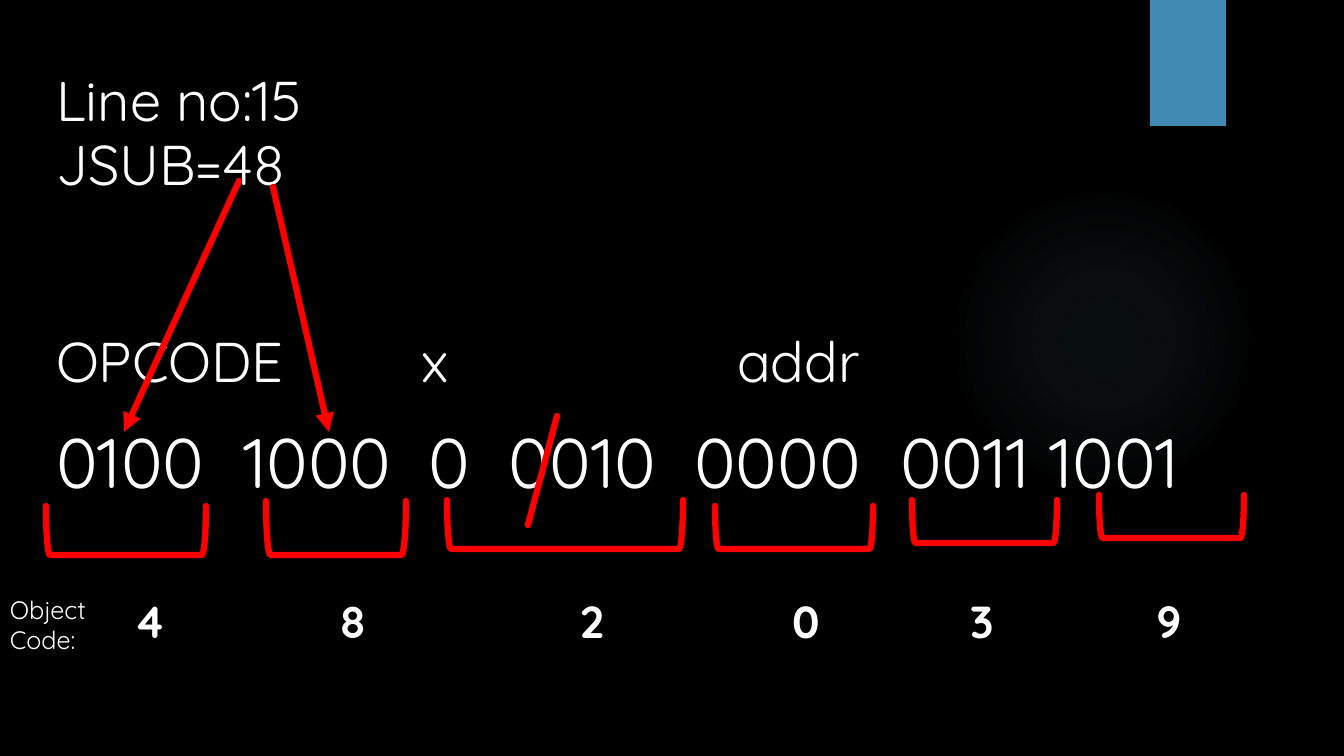
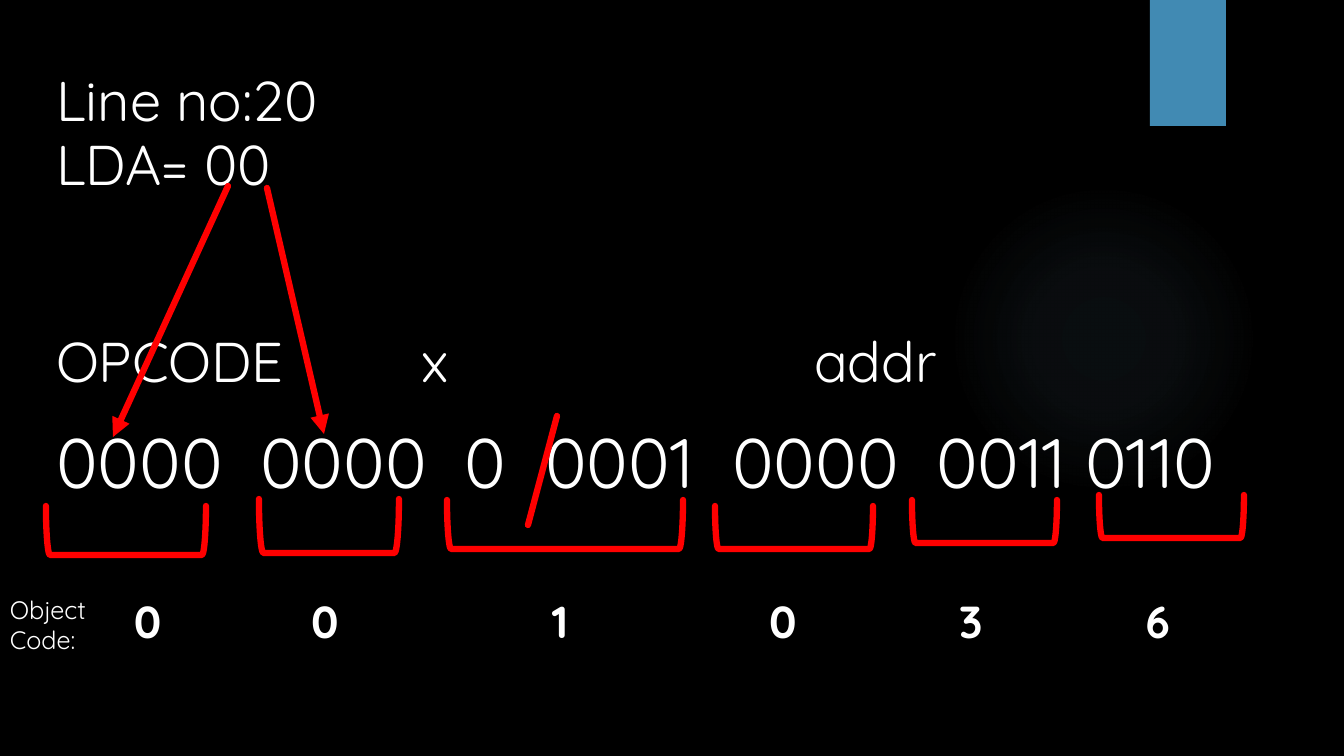
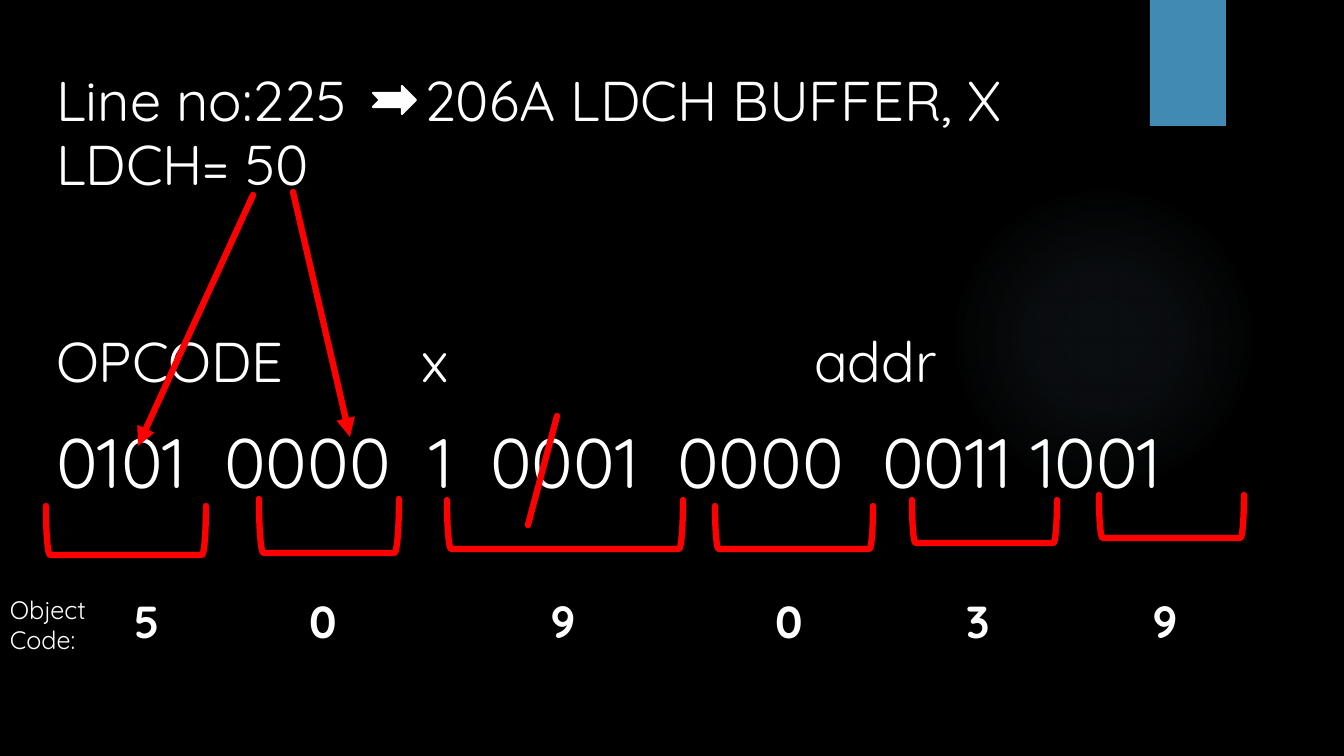
from dataclasses import dataclass

from lxml import etree
from pptx import Presentation
from pptx.dml.color import RGBColor
from pptx.enum.shapes import MSO_CONNECTOR, MSO_SHAPE
from pptx.enum.text import MSO_ANCHOR, MSO_AUTO_SIZE, PP_ALIGN
from pptx.oxml import parse_xml
from pptx.oxml.ns import nsdecls, qn
from pptx.util import Emu, Pt

STRAIGHT = MSO_CONNECTOR.STRAIGHT
OVAL, RECTANGLE = MSO_SHAPE.OVAL, MSO_SHAPE.RECTANGLE
BRACKET, NOTCHED_ARROW = MSO_SHAPE.LEFT_BRACKET, MSO_SHAPE.NOTCHED_RIGHT_ARROW
TOP, MIDDLE = MSO_ANCHOR.TOP, MSO_ANCHOR.MIDDLE
LEFT = PP_ALIGN.LEFT
FIXED_SIZE = MSO_AUTO_SIZE.NONE

COLORS = {"background": "000000", "text": "FFFFFF", "mark": "FF0000",
          "band": "418AB3", "glow": "8ABAD4"}
FONT = "Quicksand"
TITLE_LAYOUT = 5
EMU_PER_PX = 914400 / 100.8
MARK_WIDTH = 4.5

Point = tuple[int, int]


@dataclass(frozen=True)
class Box:
    x: int
    y: int
    w: int
    h: int


@dataclass(frozen=True)
class Row:
    """One line of text; its cells are set apart by tab stops."""
    cells: tuple[str, ...]
    tabs: tuple[int, ...] = ()
    size: int = 40
    before: int = 0
    spacing: float = 1.0
    bold: bool = False
    tab_align: str = "l"


@dataclass(frozen=True)
class Instruction:
    line: Row
    mnemonic: str
    addr_tab: int
    bits: tuple[str, ...]
    bit_tabs: tuple[int, ...]
    code: tuple[str, ...]
    code_tabs: tuple[int, ...]
    arrows: tuple[tuple[Point, Point], ...]
    second_bracket: Box
    has_pointer: bool = False


TITLE_BOX = Box(46, 55, 1231, 465)
CODE_BOX = Box(124, 589, 1133, 65)
LABEL_BOX = Box(0, 589, 113, 72)
GLOW_BOX = Box(949, 184, 310, 310)
BAND_BOX = Box(1150, 0, 76, 126)
POINTER_BOX = Box(373, 86, 43, 28)
BRACKETS = (Box(46, 506, 160, 49), Box(447, 500, 236, 49), Box(715, 506, 158, 43),
            Box(912, 500, 145, 43), Box(1099, 495, 145, 43))
SLASH = ((557, 416), (528, 525))
TITLE_SPACING = 0.95
X_TAB = 365

INSTRUCTIONS = (
    Instruction(
        Row(("Line no:15",), spacing=TITLE_SPACING), "JSUB=48", 681,
        ("0100", "1000", "0", "0010", "0000", "0011 1001"), (187, 372, 452, 638, 844),
        ("4", "8", "2", "0", "3", "9"), (219, 458, 672, 848, 1035),
        (((239, 181), (124, 432)), ((273, 187), (329, 432))),
        Box(266, 501, 140, 54)),
    Instruction(
        Row(("Line no:20",), spacing=TITLE_SPACING), "LDA= 00", 758,
        ("0000", "0000", "0", "0001", "0000", "0011 0110"), (204, 408, 489, 676, 880),
        ("0", "0", "1", "0", "3", "6"), (191, 426, 649, 837, 1024),
        (((228, 186), (113, 437)), ((267, 188), (324, 434))),
        Box(259, 499, 140, 54)),
    Instruction(
        Row(("Line no:225", "206A LDCH BUFFER, X"), (368,), spacing=TITLE_SPACING),
        "LDCH= 50", 758,
        ("0101", "0000", "1", "0001", "0000", "0011 1001"), (168, 373, 434, 621, 826),
        ("5", "0", "9", "0", "3", "9"), (189, 429, 655, 844, 1031),
        (((253, 195), (138, 446)), ((293, 192), (350, 437))),
        Box(259, 499, 140, 54), has_pointer=True),
)


def px(length: float) -> Emu:
    return Emu(round(length * EMU_PER_PX))


def frame(box: Box) -> tuple[Emu, Emu, Emu, Emu]:
    return px(box.x), px(box.y), px(box.w), px(box.h)


def color(name: str) -> RGBColor:
    return RGBColor.from_string(COLORS[name])


def write_rows(text_frame, rows: tuple[Row, ...], anchor=TOP) -> None:
    text_frame.word_wrap = True
    text_frame.auto_size = FIXED_SIZE
    text_frame.vertical_anchor = anchor
    for index, row in enumerate(rows):
        paragraph = text_frame.add_paragraph() if index else text_frame.paragraphs[0]
        paragraph.text = "\t".join(row.cells)
        paragraph.alignment = LEFT
        if row.tabs:
            properties = paragraph._p.get_or_add_pPr()
            stops = etree.SubElement(properties, qn("a:tabLst"))
            for tab in row.tabs:
                etree.SubElement(stops, qn("a:tab"), pos=str(px(tab)), algn=row.tab_align)
        paragraph.line_spacing = row.spacing
        paragraph.space_before = px(row.before)
        paragraph.font.name = FONT
        paragraph.font.size = Pt(row.size)
        paragraph.font.bold = row.bold
        paragraph.font.color.rgb = color("text")


def add_text(slide, box: Box, row: Row) -> None:
    write_rows(slide.shapes.add_textbox(*frame(box)).text_frame, (row,))


def style_line(line, name: str, width: float):
    line.color.rgb = color(name)
    line.width = Pt(width)
    outline = line._get_or_add_ln()
    outline.set("cap", "rnd")
    return outline


def add_mark(slide, start: Point, end: Point, arrow: bool = False) -> None:
    mark = slide.shapes.add_connector(STRAIGHT, *map(px, start + end))
    outline = style_line(mark.line, "mark", MARK_WIDTH)
    if arrow:
        etree.SubElement(outline, qn("a:tailEnd"), type="triangle")
    etree.SubElement(mark._element.spPr, qn("a:effectLst"))


def add_bracket(slide, box: Box) -> None:
    """Draw a bracket that opens upwards and fills the box once it is turned."""
    turned = Box(box.x, box.y, box.h, box.w)
    bracket = slide.shapes.add_shape(BRACKET, *frame(turned))
    bracket.left = px(box.x + (box.w - box.h) / 2)
    bracket.top = px(box.y + (box.h - box.w) / 2)
    bracket.rotation = 270
    bracket.shadow.inherit = False
    bracket.fill.background()
    style_line(bracket.line, "mark", MARK_WIDTH)


def add_pointer(slide) -> None:
    pointer = slide.shapes.add_shape(NOTCHED_ARROW, *frame(POINTER_BOX))
    pointer.shadow.inherit = False
    pointer.fill.solid()
    pointer.fill.fore_color.rgb = color("text")
    style_line(pointer.line, "text", 1.5)


def glow_fill():
    stops = "".join(
        f'<a:gs pos="{position * 1000}"><a:srgbClr val="{COLORS["glow"]}">'
        f'<a:alpha val="{opacity * 1000}"/></a:srgbClr></a:gs>'
        for position, opacity in ((0, 7), (36, 6), (69, 0), (100, 0)))
    return parse_xml(
        f'<a:gradFill {nsdecls("a")} rotWithShape="1"><a:gsLst>{stops}</a:gsLst>'
        '<a:path path="circle"><a:fillToRect l="50000" t="50000" r="50000" b="50000"/>'
        '</a:path></a:gradFill>')


def decorate_layout(layout, slide) -> None:
    """Give the layout its background, title place, glow and band."""
    layout.background.fill.solid()
    layout.background.fill.fore_color.rgb = color("background")
    title = layout.placeholders[0]
    title.left, title.top, title.width, title.height = frame(TITLE_BOX)

    glow = slide.shapes.add_shape(OVAL, *frame(GLOW_BOX))
    glow.fill.background()
    properties = glow._element.spPr
    properties.replace(properties.find(qn("a:noFill")), glow_fill())
    band = slide.shapes.add_shape(RECTANGLE, *frame(BAND_BOX))
    band.fill.solid()
    band.fill.fore_color.rgb = color("band")
    # Shapes can only be added to slides, so they are moved to the layout
    for decoration in (glow, band):
        decoration.shadow.inherit = False
        decoration.line.fill.background()
        layout.shapes.element.append(decoration.element)


def fill_slide(slide, item: Instruction) -> None:
    # Instruction and its binary fields
    write_rows(slide.shapes.title.text_frame, (
        item.line,
        Row((item.mnemonic,), spacing=TITLE_SPACING),
        Row(("OPCODE", "x", "addr"), (X_TAB, item.addr_tab),
            before=133, spacing=TITLE_SPACING),
        Row(item.bits, item.bit_tabs, size=50, before=30, spacing=TITLE_SPACING),
    ), MIDDLE)

    # Opcode arrows, nibble brackets and the slash
    for start, end in item.arrows:
        add_mark(slide, start, end, arrow=True)
    add_mark(slide, *SLASH)
    for box in (item.second_bracket, *BRACKETS):
        add_bracket(slide, box)

    # Object code
    add_text(slide, CODE_BOX, Row(item.code, item.code_tabs, size=32, bold=True,
                                  tab_align="ctr"))
    add_text(slide, LABEL_BOX, Row(("Object Code:",), size=18))
    if item.has_pointer:
        add_pointer(slide)


def main() -> None:
    deck = Presentation()
    deck.slide_width, deck.slide_height = px(1344), px(756)
    layout = deck.slide_layouts[TITLE_LAYOUT]
    slides = [deck.slides.add_slide(layout) for _ in INSTRUCTIONS]
    decorate_layout(layout, slides[0])
    for slide, item in zip(slides, INSTRUCTIONS):
        fill_slide(slide, item)
    deck.save("out.pptx")


if __name__ == "__main__":
    main()
